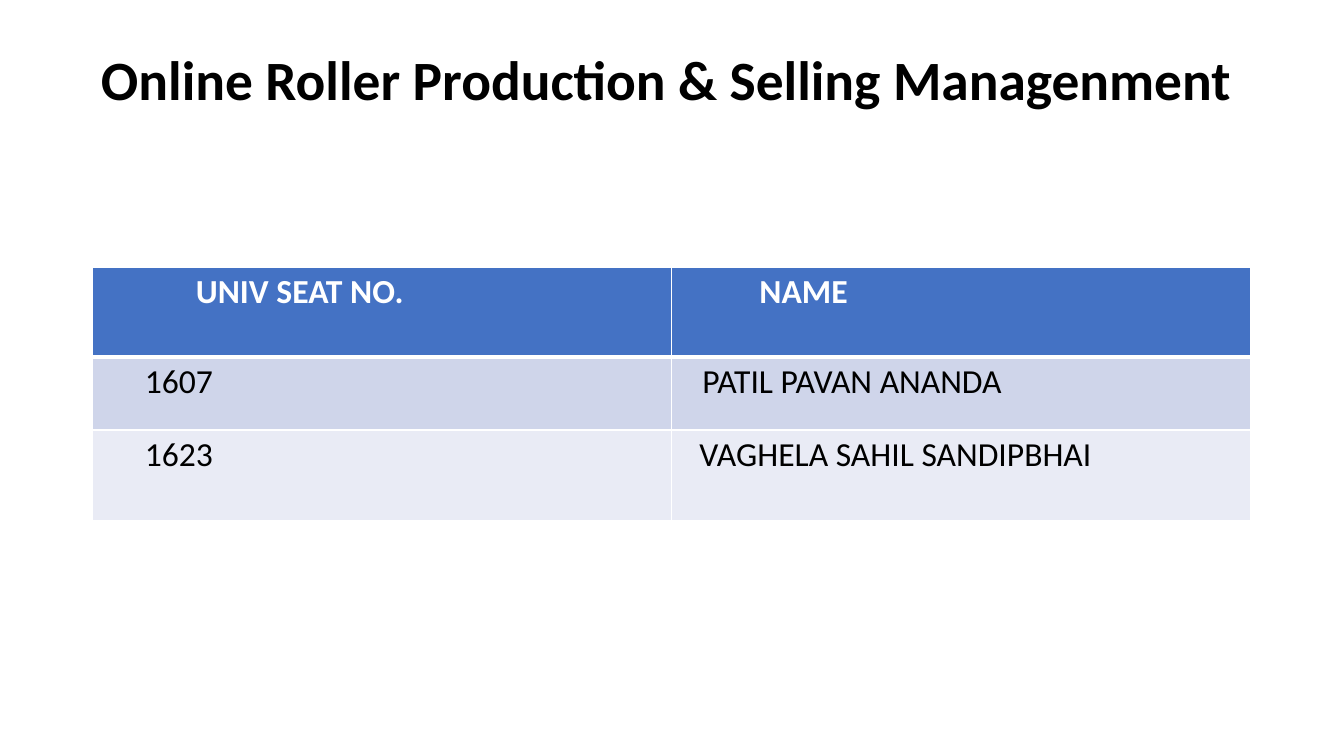
from lxml import etree
from pptx import Presentation, util as u
from pptx.dml.color import RGBColor
from pptx.enum import text
from pptx.oxml import ns

BLACK = RGBColor(0x00, 0x00, 0x00)
WHITE = RGBColor(0xFF, 0xFF, 0xFF)
BLUE = RGBColor(0x44, 0x72, 0xC4)
MIST = RGBColor(0xCF, 0xD5, 0xEA)
PALE = RGBColor(0xE9, 0xEB, 0xF5)

ROWS = [
    (90, BLUE, WHITE, [("UNIV SEAT NO.", 104), ("NAME", 88)]),
    (73, MIST, BLACK, [("1607", 53), ("PATIL PAVAN ANANDA", 31)]),
    (91, PALE, BLACK, [("1623", 53), ("VAGHELA SAHIL SANDIPBHAI", 28)]),
]


def px(n):
    return u.Emu(round(n * 914400 / 100.8))


def add_run(para, words, size, color, bold):
    run = para.add_run()
    run.text = words
    font = run.font
    font.name = "Calibri"
    font.size = u.Pt(size)
    font.bold = bold
    font.color.rgb = color


def add_edges(cell, base):
    props = cell._tc.get_or_add_tcPr()
    widths = {"lnL": 1, "lnR": 1, "lnT": 1, "lnB": base}
    for spot, (tag, width) in enumerate(widths.items()):
        line = etree.Element(ns.qn("a:" + tag), w=str(u.Pt(width)))
        fill = etree.SubElement(line, ns.qn("a:solidFill"))
        etree.SubElement(fill, ns.qn("a:srgbClr"), val=str(WHITE))
        props.insert(spot, line)


def add_title(slide, left, top, width, height):
    box = slide.shapes.add_textbox(px(left), px(top), px(width), px(height))
    frame = box.text_frame
    frame.word_wrap = True
    frame.vertical_anchor = text.MSO_ANCHOR.TOP
    frame.margin_left = px(8)
    frame.margin_right = 0
    frame.margin_top = px(13)
    para = frame.paragraphs[0]
    para.line_spacing = 0.9
    add_run(para, "Online Roller Production & Selling Managenment", 39.6, BLACK, True)


def add_roster(slide, left, top, width):
    height = sum(row[0] for row in ROWS)
    frame = slide.shapes.add_table(
        len(ROWS), 2, px(left), px(top), px(width), px(height))
    table = frame.table
    for col in table.columns:
        col.width = px(width / 2)
    for r, (tall, fill, ink, items) in enumerate(ROWS):
        table.rows[r].height = px(tall)
        for c, (words, inset) in enumerate(items):
            cell = table.cell(r, c)
            cell.fill.solid()
            cell.fill.fore_color.rgb = fill
            cell.margin_left = px(inset)
            add_edges(cell, 3 if r == 0 else 1)
            add_run(cell.text_frame.paragraphs[0], words, 24, ink, r == 0)


def main():
    deck = Presentation()
    deck.slide_width = px(1344)
    deck.slide_height = px(756)
    slide = deck.slides.add_slide(deck.slide_layouts[6])
    add_title(slide, 93, 40, 1159, 146)
    add_roster(slide, 92, 267, 1159)
    deck.save("out.pptx")


if __name__ == "__main__":
    main()
